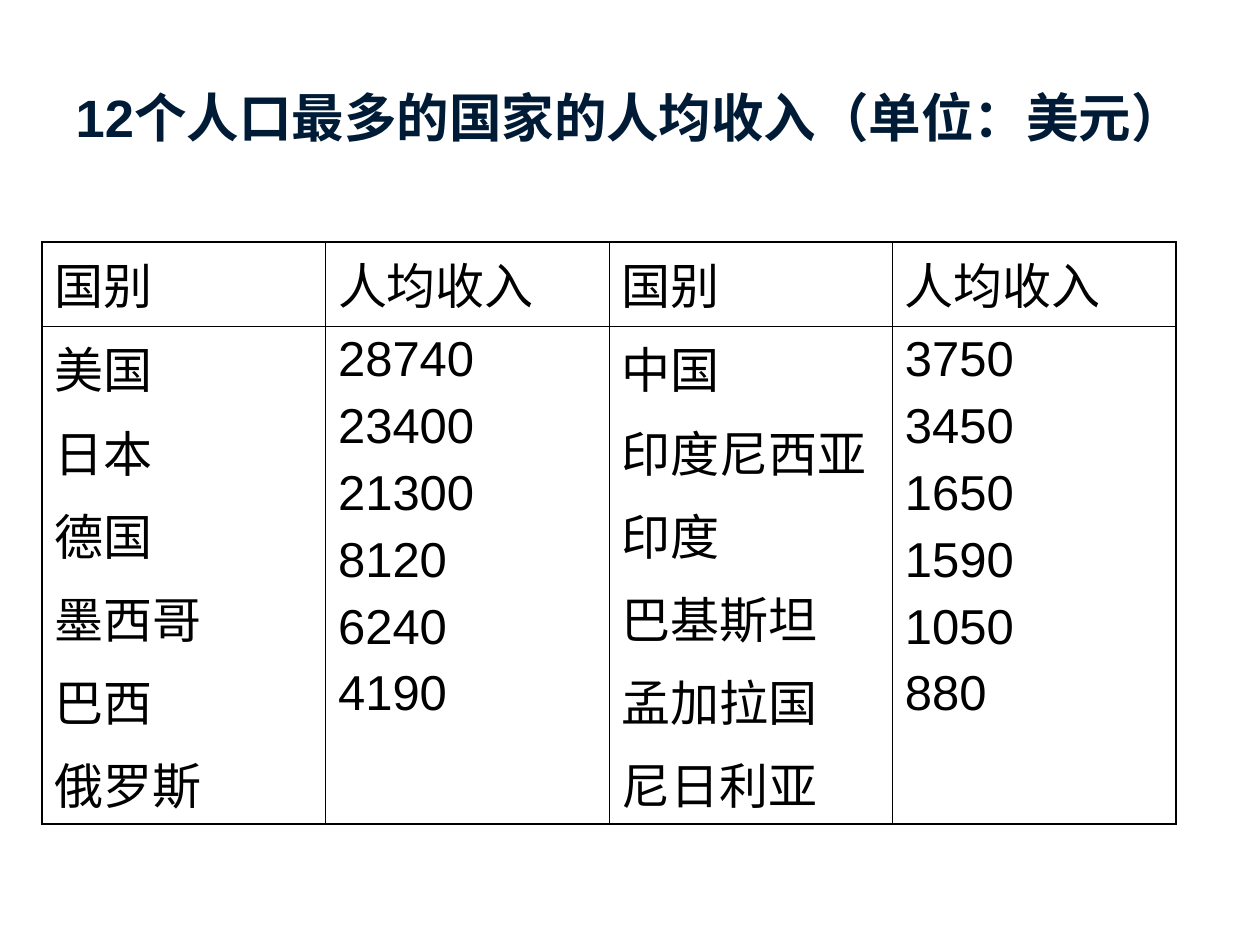
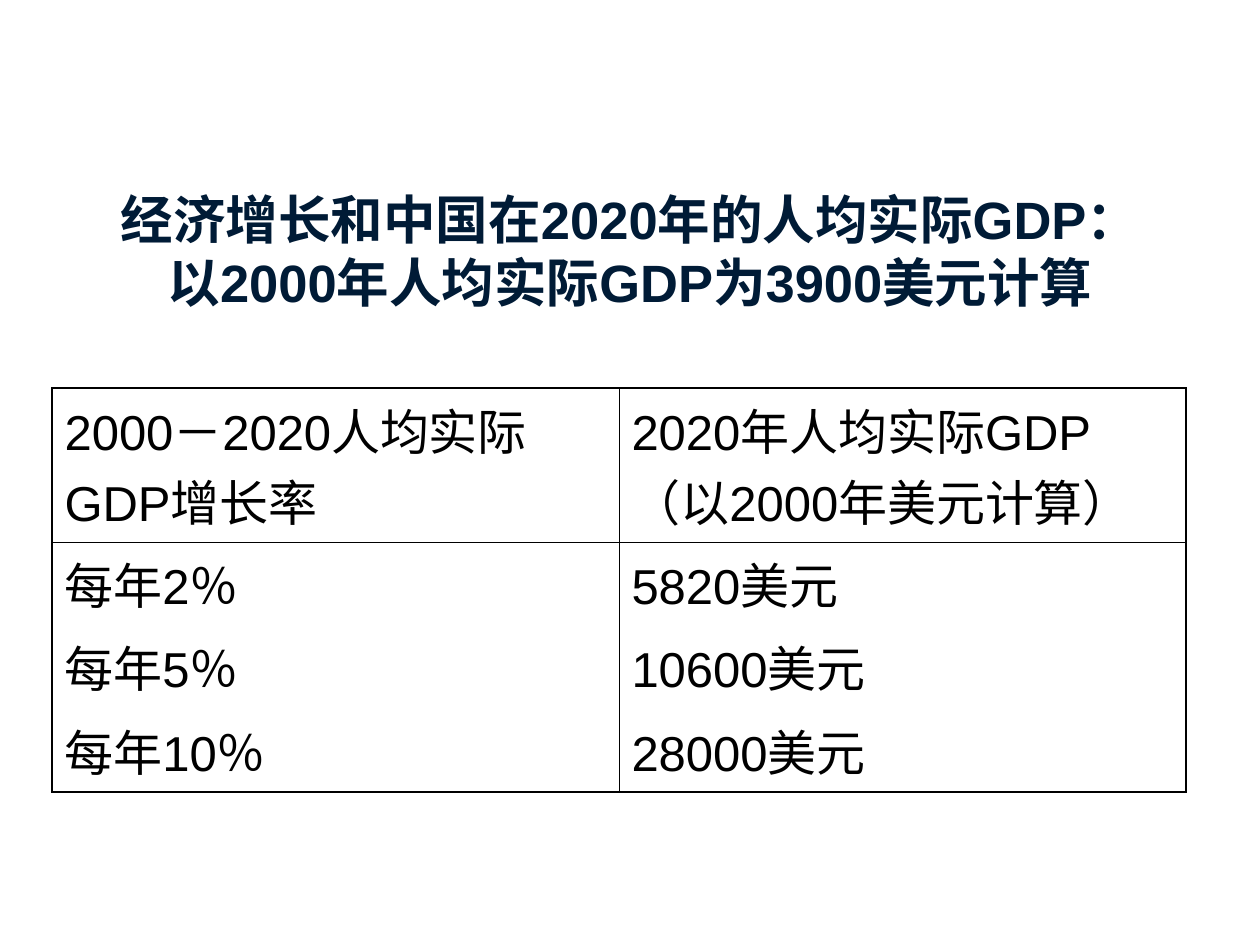
from lxml.etree import SubElement
from pptx import Presentation
from pptx.dml.color import RGBColor
from pptx.enum.text import MSO_ANCHOR, PP_ALIGN
from pptx.oxml.ns import qn
from pptx.util import Emu, Pt

PX = 914400 // 126
NAVY = RGBColor(0x00, 0x1B, 0x36)
BLACK = RGBColor(0, 0, 0)
FONT = "Arial"
OUTER_LINE, INNER_LINE = Pt(1.08), Pt(0.45)
TABLE_WIDTH = 1134
TITLE_LEFT, TITLE_TOP, TITLE_WIDTH = 63, 38, 1134

# Each table has a header row and one body row whose cells list their lines.
SLIDES = [
    {
        "title": "12个人口最多的国家的人均收入（单位：美元）",
        "title_height": 157,
        "table_at": (42, 242),
        "row_heights": (84, 498),
        "columns": [
            ("国别", ["美国", "日本", "德国", "墨西哥", "巴西", "俄罗斯"]),
            ("人均收入", ["28740", "23400", "21300", "8120", "6240", "4190"]),
            ("国别", ["中国", "印度尼西亚", "印度", "巴基斯坦", "孟加拉国", "尼日利亚"]),
            ("人均收入", ["3750", "3450", "1650", "1590", "1050", "880"]),
        ],
    },
    {
        "title": "经济增长和中国在2020年的人均实际GDP：\v以2000年人均实际GDP为3900美元计算",
        "title_height": 423,
        "table_at": (52, 388),
        "row_heights": (154, 250),
        "columns": [
            ("2000－2020人均实际GDP增长率", ["每年2％", "每年5％", "每年10％"]),
            ("2020年人均实际GDP（以2000年美元计算）", ["5820美元", "10600美元", "28000美元"]),
        ],
    },
]


def px(length):
    return Emu(length * PX)


def style_text(paragraph, size, color, bold=False):
    for run in paragraph.runs:
        font = run.font
        font.name, font.size, font.bold = FONT, Pt(size), bold
        font.color.rgb = color


def add_title(slide, text, height):
    box = slide.shapes.add_textbox(px(TITLE_LEFT), px(TITLE_TOP), px(TITLE_WIDTH), px(height))
    frame = box.text_frame
    frame.word_wrap = True
    frame.vertical_anchor = MSO_ANCHOR.MIDDLE
    frame.text = text
    heading = frame.paragraphs[0]
    heading.alignment = PP_ALIGN.CENTER
    style_text(heading, 30, NAVY, bold=True)


def set_borders(cell, outer_sides):
    """Rule all four sides, heavier where the side is on the table's edge."""
    properties = cell._tc.get_or_add_tcPr()
    for position, (side, is_outer) in enumerate(outer_sides.items()):
        width = OUTER_LINE if is_outer else INNER_LINE
        line = SubElement(properties, qn(f"a:{side}"), w=str(int(width)))
        fill = SubElement(line, qn("a:solidFill"))
        SubElement(fill, qn("a:srgbClr"), val=str(BLACK))
        properties.insert(position, line)


def fill_cell(cell, lines):
    cell.fill.background()
    cell.text_frame.text = "\n".join(lines)
    for index, paragraph in enumerate(cell.text_frame.paragraphs):
        if index:
            paragraph.space_before = Pt(7)
        style_text(paragraph, 28, BLACK)


def add_grid(slide, at, row_heights, columns):
    left, top = at
    rows = list(zip(*(([header], body) for header, body in columns)))
    table = slide.shapes.add_table(
        len(rows), len(columns), px(left), px(top), px(TABLE_WIDTH), px(sum(row_heights))
    ).table
    table.first_row = table.horz_banding = False
    for column in table.columns:
        column.width = px(TABLE_WIDTH) // len(columns)
    for r, (cells, height) in enumerate(zip(rows, row_heights)):
        table.rows[r].height = px(height)
        for c, lines in enumerate(cells):
            cell = table.cell(r, c)
            fill_cell(cell, lines)
            set_borders(cell, {
                "lnL": c == 0,
                "lnR": c == len(columns) - 1,
                "lnT": r == 0,
                "lnB": r == len(rows) - 1,
            })


def main():
    deck = Presentation()
    deck.slide_width, deck.slide_height = px(1260), px(945)
    for content in SLIDES:
        slide = deck.slides.add_slide(deck.slide_layouts[6])
        add_title(slide, content["title"], content["title_height"])
        add_grid(slide, content["table_at"], content["row_heights"], content["columns"])
    deck.save("out.pptx")


if __name__ == "__main__":
    main()
